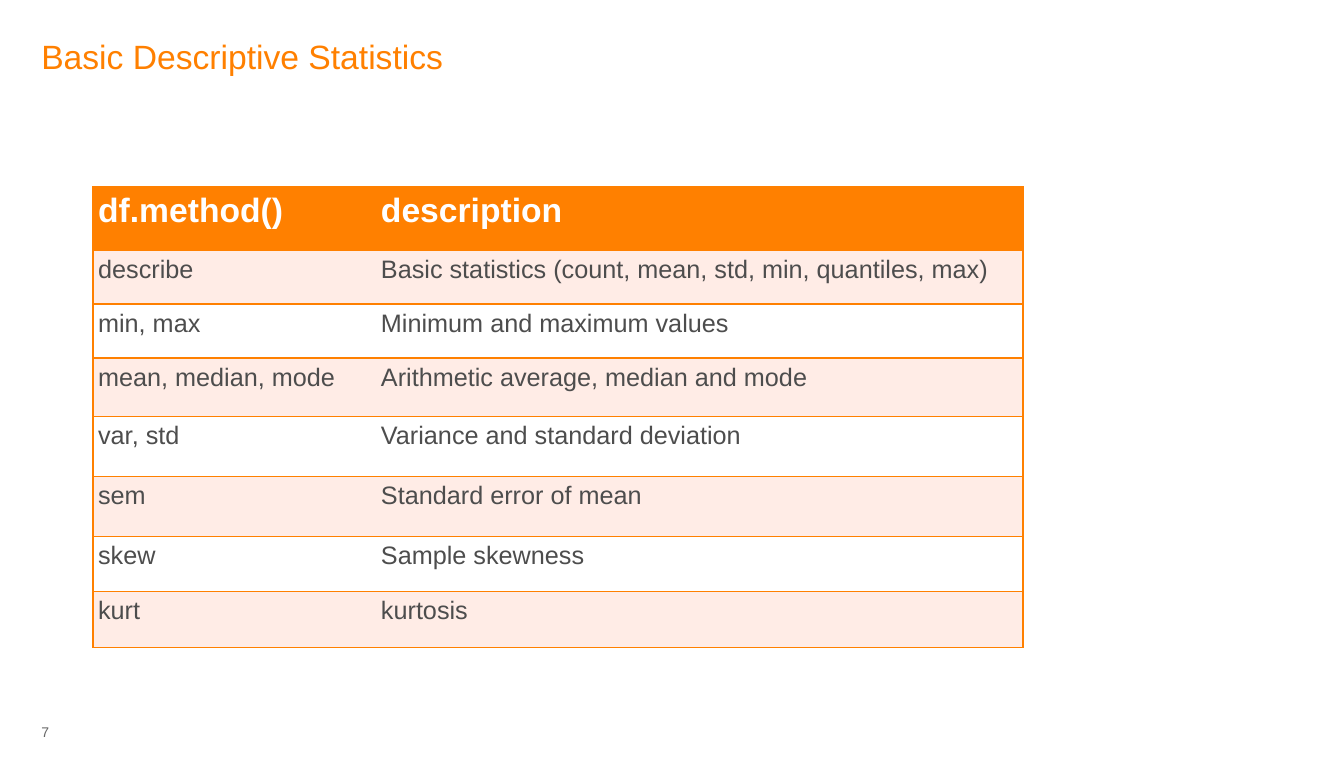
from lxml import etree
from pptx import Presentation
from pptx.dml.color import RGBColor
from pptx.enum.text import MSO_ANCHOR
from pptx.oxml.ns import qn
from pptx.util import Cm, Pt

TOP = MSO_ANCHOR.TOP
MIDDLE = MSO_ANCHOR.MIDDLE

ORANGE = RGBColor(0xFF, 0x80, 0x00)
PALE_ORANGE = RGBColor(0xFF, 0xEC, 0xE6)
WHITE = RGBColor(0xFF, 0xFF, 0xFF)
DARK_GRAY = RGBColor(0x4D, 0x4D, 0x4D)
GRAY = RGBColor(0x66, 0x66, 0x66)

METHODS = [
    ("df.method()", "description"),
    ("describe", "Basic statistics (count, mean, std, min, quantiles, max)"),
    ("min, max", "Minimum and maximum values"),
    ("mean, median, mode", "Arithmetic average, median and mode"),
    ("var, std", "Variance and standard deviation"),
    ("sem", "Standard error of mean"),
    ("skew", "Sample skewness"),
    ("kurt", "kurtosis"),
]
COLUMN_WIDTHS = [7.12, 16.29]
ROW_HEIGHTS = [1.61, 1.34, 1.36, 1.47, 1.51, 1.51, 1.39, 1.41]


class SlideBuilder:
    font_name = "Arial"
    cell_margin = Cm(0.13)

    def __init__(self, slide):
        self.slide = slide

    def add_run(self, paragraph, text, size, color, bold=False):
        run = paragraph.add_run()
        run.text = text
        run.font.name = self.font_name
        run.font.size = Pt(size)
        run.font.bold = bold
        run.font.color.rgb = color

    def add_text(self, text, left, top, width, height, size, color, anchor=TOP, wrap=True):
        shape = self.slide.shapes.add_textbox(Cm(left), Cm(top), Cm(width), Cm(height))
        frame = shape.text_frame
        frame.margin_left = frame.margin_right = 0
        frame.margin_top = frame.margin_bottom = 0
        frame.word_wrap = wrap
        frame.vertical_anchor = anchor
        self.add_run(frame.paragraphs[0], text, size, color)

    def set_borders(self, cell, visible_sides):
        properties = cell._tc.get_or_add_tcPr()
        for position, side in enumerate("LRTB"):
            line = etree.Element(qn(f"a:ln{side}"), w=str(Pt(1)))
            if side in visible_sides:
                fill = etree.SubElement(line, qn("a:solidFill"))
                etree.SubElement(fill, qn("a:srgbClr"), val=str(ORANGE))
            else:
                etree.SubElement(line, qn("a:noFill"))
            properties.insert(position, line)

    def fill_cell(self, cell, text, size, color, background, bold):
        cell.margin_left = cell.margin_right = self.cell_margin
        cell.margin_top = cell.margin_bottom = self.cell_margin
        cell.vertical_anchor = TOP
        cell.fill.solid()
        cell.fill.fore_color.rgb = background
        self.add_run(cell.text_frame.paragraphs[0], text, size, color, bold)

    def add_table(self, rows, left, top, column_widths, row_heights):
        table = self.slide.shapes.add_table(
            len(rows), len(column_widths), Cm(left), Cm(top),
            Cm(sum(column_widths)), Cm(sum(row_heights)),
        ).table
        for column, width in zip(table.columns, column_widths):
            column.width = Cm(width)
        for row, height in zip(table.rows, row_heights):
            row.height = Cm(height)
        for row_index, texts in enumerate(rows):
            if row_index == 0:
                style = (24, WHITE, ORANGE, True)
            else:
                style = (18, DARK_GRAY, PALE_ORANGE if row_index % 2 else WHITE, False)
            for column_index, text in enumerate(texts):
                cell = table.cell(row_index, column_index)
                self.fill_cell(cell, text, *style)
                self.set_borders(cell, "LTB" if column_index == 0 else "RTB")


def main():
    presentation = Presentation()
    presentation.slide_width = Cm(33.83)
    presentation.slide_height = Cm(19.05)
    slide = presentation.slides.add_slide(presentation.slide_layouts[6])
    builder = SlideBuilder(slide)
    builder.add_text("Basic Descriptive Statistics", 1.04, 0.81, 28.6, 1.19, 24, ORANGE, MIDDLE)
    builder.add_table(METHODS, 2.34, 4.7, COLUMN_WIDTHS, ROW_HEIGHTS)
    builder.add_text("7", 1.04, 18.21, 0.36, 0.38, 10, GRAY, wrap=False)
    presentation.save("out.pptx")


if __name__ == "__main__":
    main()
